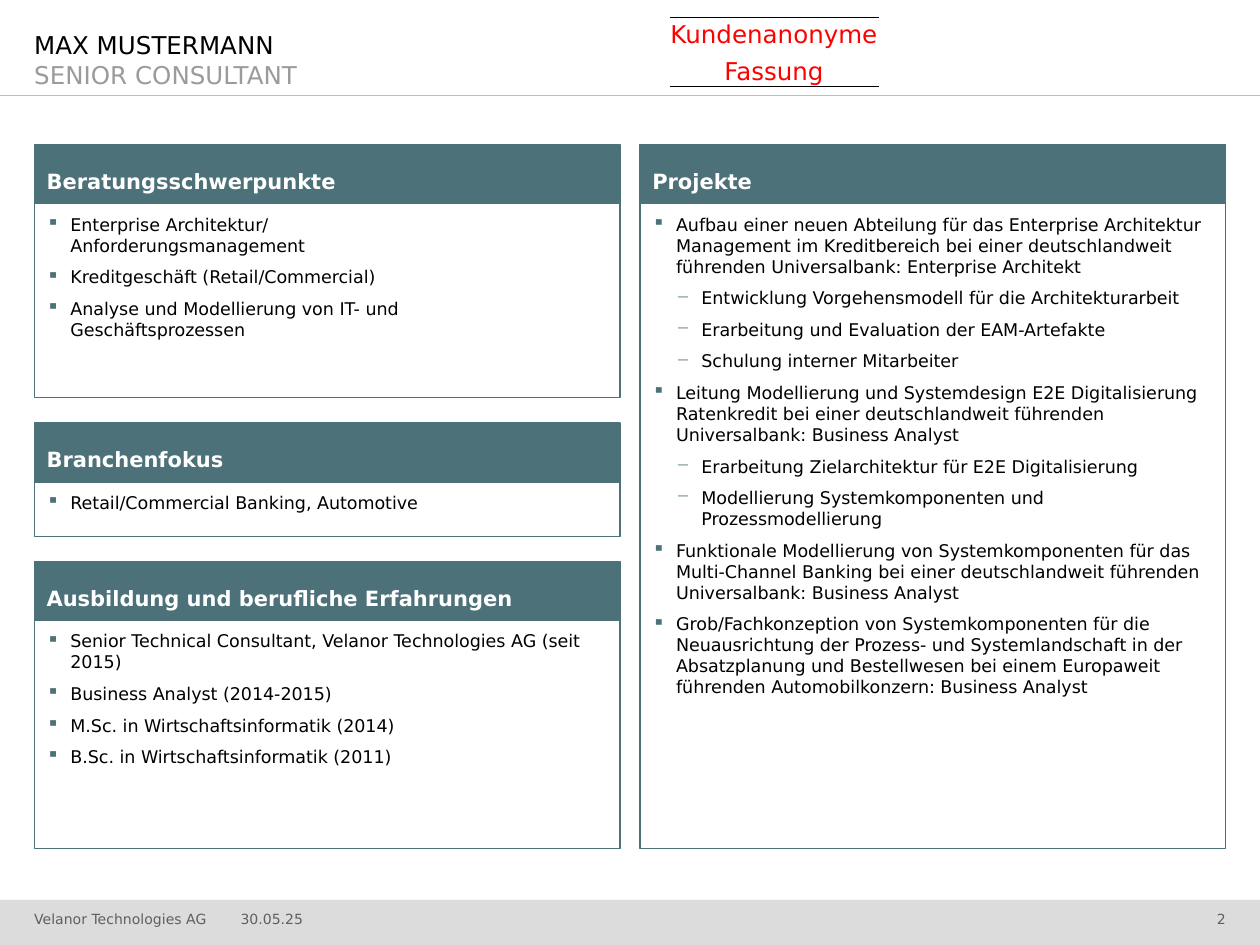
from pptx import Presentation
from pptx.dml.color import RGBColor
from pptx.enum.shapes import MSO_CONNECTOR, MSO_SHAPE
from pptx.enum.text import MSO_ANCHOR, MSO_AUTO_SIZE, PP_ALIGN
from pptx.oxml.ns import qn
from pptx.util import Cm, Pt
from lxml.etree import SubElement

PETROL = RGBColor(0x4D, 0x71, 0x78)
WHITE = RGBColor(0xFF, 0xFF, 0xFF)
BLACK = RGBColor(0, 0, 0)
RED = RGBColor(0xFF, 0, 0)
NAME_GREY = RGBColor(0x9B, 0x9B, 0x9B)
FOOTER_GREY = RGBColor(0x5F, 0x5F, 0x5F)
BAR_GREY = RGBColor(0xDC, 0xDC, 0xDC)
RULE_GREY = RGBColor(0xBE, 0xBE, 0xBE)

SLIDE_WIDTH, SLIDE_HEIGHT = 25.4, 19.05
MARGIN = 0.69
COLUMN_WIDTH = 11.81
RIGHT_COLUMN = SLIDE_WIDTH - MARGIN - COLUMN_WIDTH
PANEL_TOP = 2.92
HEADER_HEIGHT = 1.19
PANEL_GAP = 0.51
FOOTER_HEIGHT = 0.91

# Bullet character, left margin and hanging indent in cm for each level
BULLETS = [("▪", 0.48, 0.48), ("−", 0.99, 0.51)]

FOCUS = [
    (0, "Enterprise Architektur/ Anforderungsmanagement"),
    (0, "Kreditgeschäft (Retail/Commercial)"),
    (0, "Analyse und Modellierung von IT- und Geschäftsprozessen"),
]
INDUSTRIES = [(0, "Retail/Commercial Banking, Automotive")]
CAREER = [
    (0, "Senior Technical Consultant, Velanor Technologies AG (seit 2015)"),
    (0, "Business Analyst (2014-2015)"),
    (0, "M.Sc. in Wirtschaftsinformatik (2014)"),
    (0, "B.Sc. in Wirtschaftsinformatik (2011)"),
]
PROJECTS = [
    (0, "Aufbau einer neuen Abteilung für das Enterprise Architektur Management im "
        "Kreditbereich bei einer deutschlandweit führenden Universalbank: "
        "Enterprise Architekt"),
    (1, "Entwicklung Vorgehensmodell für die Architekturarbeit"),
    (1, "Erarbeitung und Evaluation der EAM-Artefakte"),
    (1, "Schulung interner Mitarbeiter"),
    (0, "Leitung Modellierung und Systemdesign E2E Digitalisierung Ratenkredit bei "
        "einer deutschlandweit führenden Universalbank: Business Analyst"),
    (1, "Erarbeitung Zielarchitektur für E2E Digitalisierung"),
    (1, "Modellierung Systemkomponenten und Prozessmodellierung"),
    (0, "Funktionale Modellierung von Systemkomponenten für das Multi-Channel Banking "
        "bei einer deutschlandweit führenden Universalbank: Business Analyst"),
    (0, "Grob/Fachkonzeption von Systemkomponenten für die Neuausrichtung der Prozess- "
        "und Systemlandschaft in der Absatzplanung und Bestellwesen bei einem "
        "Europaweit führenden Automobilkonzern: Business Analyst"),
]
LEFT_PANELS = [
    ("Beratungsschwerpunkte", FOCUS, 3.91, 3.81),
    ("Branchenfokus", INDUSTRIES, 1.09, 0.25),
    ("Ausbildung und berufliche Erfahrungen", CAREER, 4.6, 0.25),
]


def write(paragraph, text, size=10, color=BLACK, bold=False, align=PP_ALIGN.LEFT,
          before=0, after=0):
    paragraph.alignment = align
    paragraph.space_before, paragraph.space_after = Pt(before), Pt(after)
    run = paragraph.add_run()
    run.text = text
    run.font.name = "DejaVu Sans"
    run.font.size = Pt(size)
    run.font.bold = bold
    run.font.color.rgb = color


def add_bullet(paragraph, level):
    character, margin, hanging = BULLETS[level]
    paragraph.level = level
    properties = paragraph._p.get_or_add_pPr()
    properties.set("marL", str(Cm(margin)))
    properties.set("indent", str(-Cm(hanging)))
    bullet_color = SubElement(properties, qn("a:buClr"))
    SubElement(bullet_color, qn("a:srgbClr")).set("val", str(PETROL))
    SubElement(properties, qn("a:buChar")).set("char", character)


def set_frame(shape, anchor, left=0, top=0, right=0, bottom=0):
    frame = shape.text_frame
    frame.word_wrap = True
    frame.auto_size = MSO_AUTO_SIZE.NONE
    frame.vertical_anchor = anchor
    frame.margin_left, frame.margin_top = Cm(left), Cm(top)
    frame.margin_right, frame.margin_bottom = Cm(right), Cm(bottom)
    return frame


class ProfileSlide:
    def __init__(self, presentation):
        self.slide = presentation.slides.add_slide(presentation.slide_layouts[5])
        self.shapes = self.slide.shapes

    def box(self, left, top, width, height, fill, line=None):
        shape = self.shapes.add_shape(
            MSO_SHAPE.RECTANGLE, Cm(left), Cm(top), Cm(width), Cm(height))
        shape.shadow.inherit = False
        shape.fill.solid()
        shape.fill.fore_color.rgb = fill
        if line is None:
            shape.line.fill.background()
        else:
            shape.line.color.rgb = line
            shape.line.width = Pt(0.75)
        return shape

    def rule(self, left, right, top, color):
        line = self.shapes.add_connector(
            MSO_CONNECTOR.STRAIGHT, Cm(left), Cm(top), Cm(right), Cm(top))
        line.line.color.rgb = color
        line.line.width = Pt(0.75)
        SubElement(line._element.spPr, qn("a:effectLst"))

    def title(self, name, role):
        title = self.shapes.title
        title.left, title.top = Cm(MARGIN), Cm(0.71)
        title.width, title.height = Cm(12), Cm(1.19)
        paragraph = set_frame(title, MSO_ANCHOR.BOTTOM, bottom=0.1).paragraphs[0]
        write(paragraph, name, size=14)
        paragraph.add_line_break()
        write(paragraph, role, size=14, color=NAME_GREY)

    def panel(self, heading, items, left, top, height, right_inset=0.25):
        header = self.box(left, top, COLUMN_WIDTH, HEADER_HEIGHT, PETROL, PETROL)
        frame = set_frame(header, MSO_ANCHOR.BOTTOM, 0.25, 0.13, 0.25, 0.2)
        write(frame.paragraphs[0], heading, size=12, color=WHITE, bold=True)

        body = self.box(left, top + HEADER_HEIGHT, COLUMN_WIDTH, height, WHITE, PETROL)
        frame = set_frame(body, MSO_ANCHOR.TOP, 0.25, 0.2, right_inset, 0.13)
        for index, (level, text) in enumerate(items):
            paragraph = frame.add_paragraph() if index else frame.paragraphs[0]
            add_bullet(paragraph, level)
            write(paragraph, text, before=3 if index else 0, after=3)

    def stamp(self, lines, left, top, width, height):
        """Centred red note between two rules."""
        note = self.shapes.add_textbox(Cm(left), Cm(top), Cm(width), Cm(height))
        frame = set_frame(note, MSO_ANCHOR.MIDDLE)
        frame.word_wrap = False
        for index, text in enumerate(lines):
            paragraph = frame.add_paragraph() if index else frame.paragraphs[0]
            write(paragraph, text, size=14, color=RED, align=PP_ALIGN.CENTER,
                  before=4.5 if index else 0)
        for rule_top in (top, top + height):
            self.rule(left, left + width, rule_top, BLACK)

    def footer(self, entries):
        top = SLIDE_HEIGHT - FOOTER_HEIGHT
        self.box(0, top, SLIDE_WIDTH, FOOTER_HEIGHT, BAR_GREY)
        for text, left, width, align in entries:
            entry = self.shapes.add_textbox(
                Cm(left), Cm(top), Cm(width), Cm(FOOTER_HEIGHT))
            frame = set_frame(entry, MSO_ANCHOR.BOTTOM, bottom=0.36)
            write(frame.paragraphs[0], text, size=8, color=FOOTER_GREY, align=align)


def main():
    presentation = Presentation()
    presentation.slide_width = Cm(SLIDE_WIDTH)
    presentation.slide_height = Cm(SLIDE_HEIGHT)

    profile = ProfileSlide(presentation)
    profile.footer([
        ("Velanor Technologies AG", MARGIN, 3.81, PP_ALIGN.LEFT),
        ("30.05.25", 4.85, 2.03, PP_ALIGN.LEFT),
        ("2", 22.91, 1.8, PP_ALIGN.RIGHT),
    ])
    profile.rule(0, SLIDE_WIDTH, 1.93, RULE_GREY)
    profile.title("MAX MUSTERMANN", "SENIOR CONSULTANT")

    top = PANEL_TOP
    for heading, items, height, right_inset in LEFT_PANELS:
        profile.panel(heading, items, MARGIN, top, height, right_inset)
        bottom = top + HEADER_HEIGHT + height
        top = bottom + PANEL_GAP
    profile.panel("Projekte", PROJECTS, RIGHT_COLUMN, PANEL_TOP,
                  bottom - PANEL_TOP - HEADER_HEIGHT)
    profile.stamp(["Kundenanonyme", "Fassung"], 13.5, 0.35, 4.21, 1.4)

    presentation.save("out.pptx")


if __name__ == "__main__":
    main()
